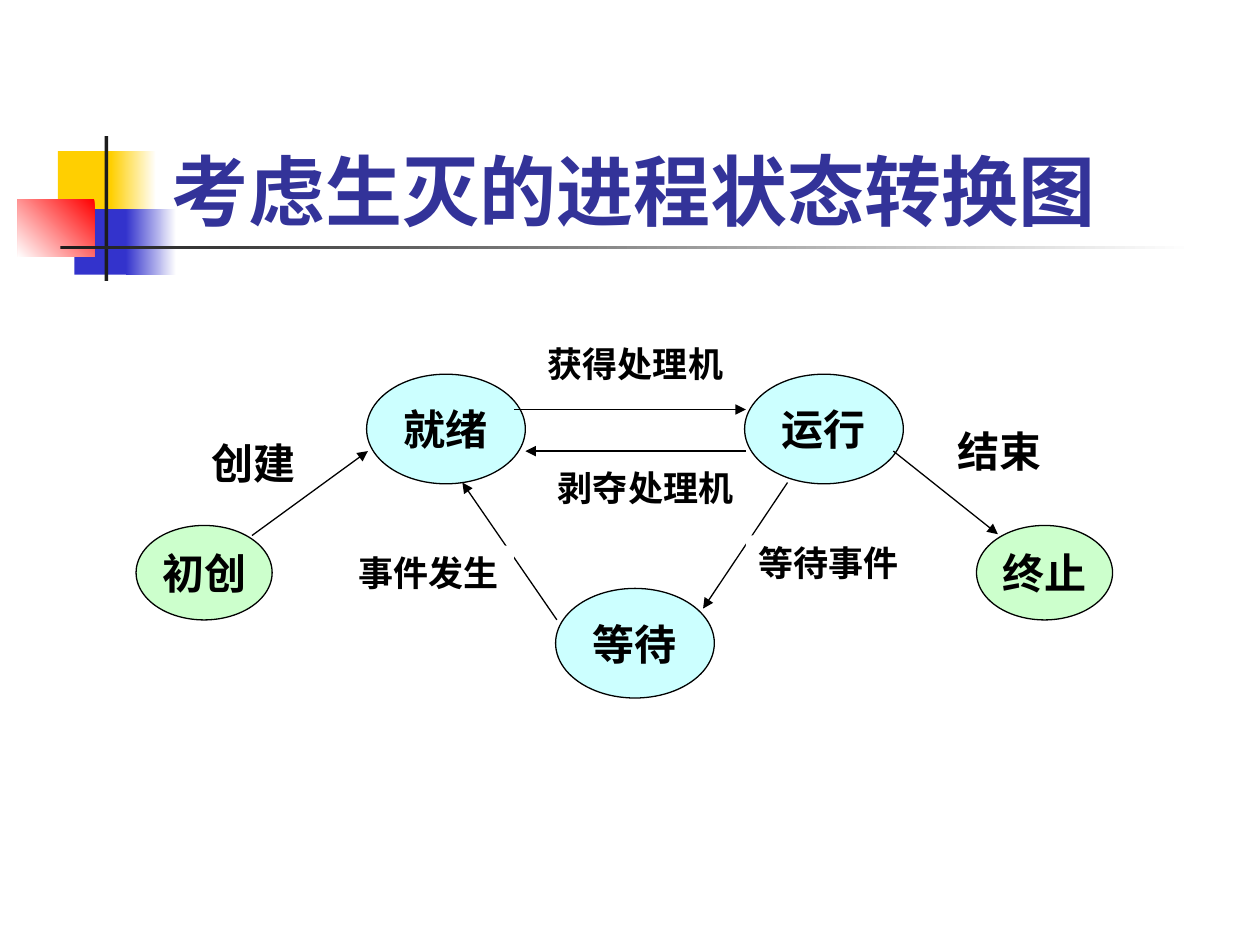
from lxml import etree
from pptx import Presentation
from pptx import util as u
from pptx.dml.color import RGBColor
from pptx.enum import shapes, text
from pptx.oxml.ns import qn

HUES = {
    "white": "FFFFFF", "black": "000000", "ink": "1C1C1C", "gold": "FFCF01",
    "blue": "3333CC", "red": "FF0000", "title": "333399",
    "cyan": "CCFFFF", "green": "CCFFCC",
}
KIND = shapes.MSO_SHAPE


def rgb(hue):
    return RGBColor.from_string(HUES[hue])


def put_text(shape, words, size=24, font="Times New Roman", hue="black",
             align=text.PP_ALIGN.LEFT, anchor=text.MSO_ANCHOR.TOP, wrap=True):
    frame = shape.text_frame
    frame.word_wrap = wrap
    frame.vertical_anchor = anchor
    para = frame.paragraphs[0]
    para.alignment = align
    run = para.add_run()
    run.text = words
    run.font.size = u.Pt(size)
    run.font.name = font
    run.font.bold = True
    run.font.color.rgb = rgb(hue)


def add_form(slide, kind, box, hue, fade=None):
    shape = slide.shapes.add_shape(kind, *map(u.Inches, box))
    shape.shadow.inherit = False
    shape.line.fill.background()
    if fade is None:
        shape.fill.solid()
        shape.fill.fore_color.rgb = rgb(hue)
    else:
        shape.fill.gradient()
        shape.fill.gradient_angle = fade
        for stop, name in zip(shape.fill.gradient_stops, (hue, "white")):
            stop.color.rgb = rgb(name)
    return shape


def add_state(slide, words, box, hue):
    shape = add_form(slide, KIND.OVAL, box, hue)
    shape.line.color.rgb = rgb("black")
    shape.line.width = u.Pt(0.75)
    put_text(shape, words, align=text.PP_ALIGN.CENTER,
             anchor=text.MSO_ANCHOR.MIDDLE, wrap=False)


def add_arrow(slide, start, end):
    line = slide.shapes.add_connector(
        shapes.MSO_CONNECTOR.STRAIGHT, *map(u.Inches, start + end))
    line.line.color.rgb = rgb("black")
    line.line.width = u.Pt(0.75)
    etree.SubElement(line.line._get_or_add_ln(), qn("a:tailEnd"), type="triangle")
    etree.SubElement(line._element.spPr, qn("a:effectLst"))


def add_box(slide, words, box, **style):
    put_text(slide.shapes.add_textbox(*map(u.Inches, box)), words, **style)


def add_decor(slide):
    for box, hue, fade in (
        ((0.46, 1.2, 0.48, 0.52), "gold", None),
        ((0.88, 1.2, 0.36, 0.52), "gold", 0),
        ((0.59, 1.66, 0.46, 0.52), "blue", None),
        ((1, 1.66, 0.4, 0.52), "blue", 0),
        ((0.14, 1.58, 0.61, 0.46), "red", 225),
        ((0.83, 1.08, 0.03, 1.15), "ink", None),
        ((0.48, 1.95, 9, 0.03), "ink", 0),
    ):
        add_form(slide, KIND.RECTANGLE, box, hue, fade)


def main():
    deck = Presentation()
    deck.slide_width, deck.slide_height = u.Inches(10), u.Inches(7.5)
    slide = deck.slides.add_slide(deck.slide_layouts[6])
    add_decor(slide)
    add_box(slide, "考虑生灭的进程状态转换图", (1.26, 0.67, 8.52, 1.25), size=44,
            font="Karla", hue="title", anchor=text.MSO_ANCHOR.BOTTOM)

    for words, left, top in (
        ("就绪", 2.91, 2.97), ("等待", 4.41, 4.67), ("运行", 5.91, 2.97),
    ):
        add_state(slide, words, (left, top, 1.26, 0.87), "cyan")
    for words, left in (("初创", 1.08), ("终止", 7.75)):
        add_state(slide, words, (left, 4.17, 1.08, 0.75), "green")

    for start, end in (
        ((4.08, 3.25), (5.92, 3.25)),
        ((6.25, 3.83), (5.58, 4.83)),
        ((4.42, 4.92), (3.67, 3.83)),
        ((5.92, 3.58), (4.17, 3.58)),
        ((2, 4.25), (2.92, 3.58)),
        ((7.09, 3.58), (7.92, 4.24)),
    ):
        add_arrow(slide, start, end)

    for words, left, top, width in (
        ("获得处理机", 4.25, 2.67, 1.67),
        ("剥夺处理机", 4.33, 3.65, 1.67),
        ("等待事件", 5.92, 4.25, 1.33),
        ("事件发生", 2.75, 4.33, 1.33),
    ):
        label = add_form(slide, KIND.RECTANGLE, (left, top, width, 0.44), "white")
        put_text(label, words, size=20)
    add_box(slide, "创建", (1.58, 3.42, 1, 0.5))
    add_box(slide, "结束", (7.5, 3.33, 1.25, 0.5))
    deck.save("out.pptx")


if __name__ == "__main__":
    main()
